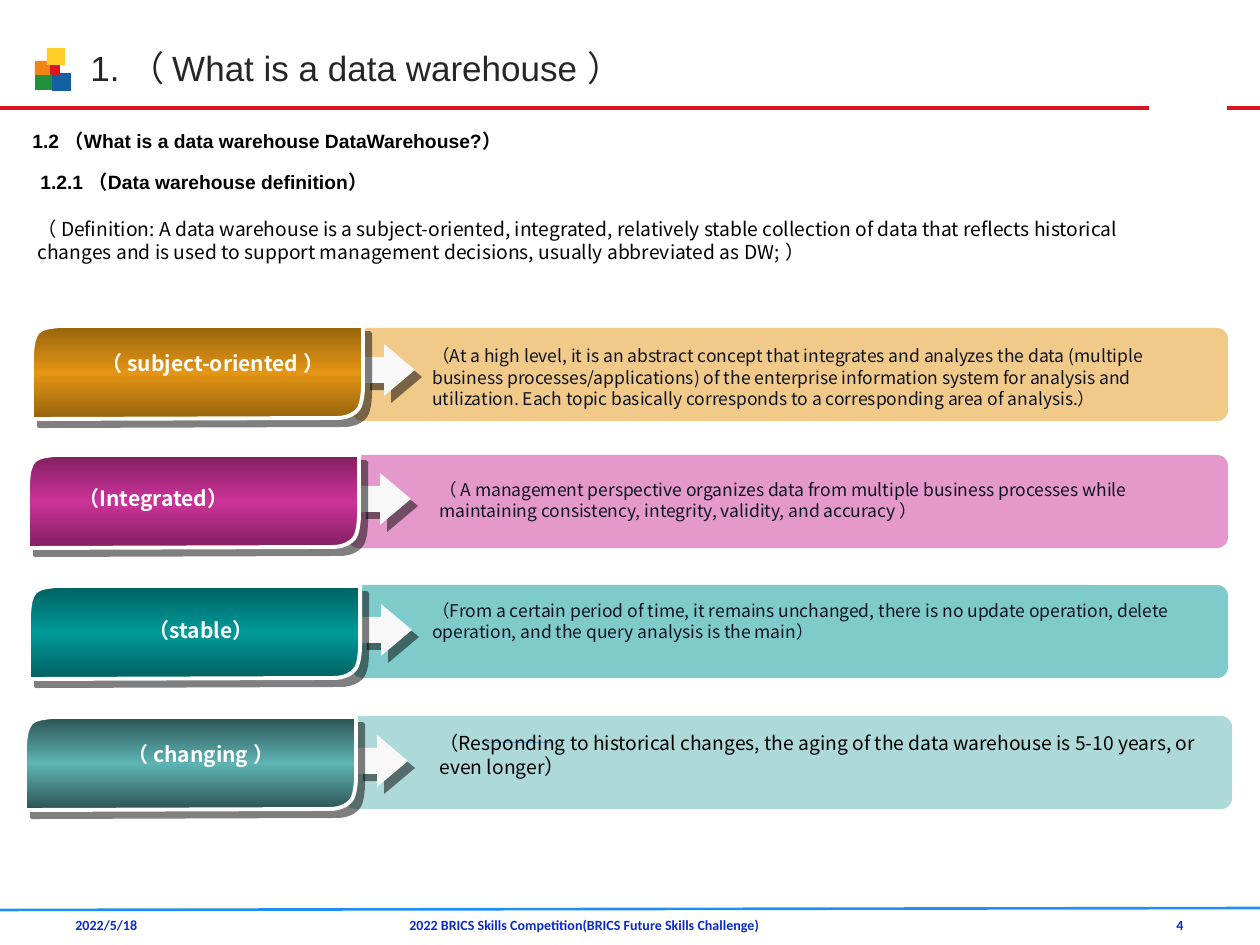
from lxml import etree
from copy import deepcopy
from pptx import Presentation
from pptx.dml.color import RGBColor
from pptx.enum.shapes import MSO_CONNECTOR, MSO_SHAPE
from pptx.enum.text import MSO_ANCHOR, PP_ALIGN
from pptx.oxml.ns import qn
from pptx.util import Emu, Pt

SCALE = 914400 / 126  # EMU in one px
NOTO = "Noto Sans CJK SC"
HEX = {
    "red": "D9151F", "blue": "1460A2", "green": "20903B", "orange": "F08316",
    "yellow": "FDCD27", "foot": "072AC9", "rule": "1E90F5", "thin": "6096E6",
    "title": "262626", "ink": "0F1423", "black": "000000", "white": "FFFFFF",
    "arrow": "F8F8F8",
}
LEFT, MID, RIGHT = PP_ALIGN.LEFT, PP_ALIGN.CENTER, PP_ALIGN.RIGHT

# Tab outline from its top left: one point is a line, three are a curve
TAB = [
    [(26, 0)], [(331, 0)], [(331, 60)],
    [(331, 60), (331, 75), (327, 82)], [(323, 88), (315, 92), (305, 92)],
    [(0, 93)], [(0, 28)],
    [(1, 15), (2, 12), (6, 6)], [(11, 1), (20, 1), (26, 0)],
]

# Per row: bar box, tab corner, tab colours, label, note
ROWS = [
    ((352, 328, 876), (32, 326), ("97630D", "E49514"),
     ("（ subject-oriented ）", 344, 294, MID),
     ("（At a high level, it is an abstract concept that integrates and analyzes "
      "the data (multiple business processes/applications) of the enterprise "
      "information system for analysis and utilization. Each topic basically "
      "corresponds to a corresponding area of analysis.）", 420, 339, 803, 10, "ink")),
    ((348, 455, 880), (28, 455), ("822061", "CC3399"),
     ("（Integrated）", 479, 270, LEFT),
     ("（ A management perspective organizes data from multiple business processes "
      "while maintaining consistency, integrity, validity, and accuracy ）",
      427, 473, 799, 10, "ink")),
    ((352, 585, 876), (29, 586), ("006161", "009999"),
     ("（stable）", 611, 270, MID),
     ("（From a certain period of time, it remains unchanged, there is no update "
      "operation, delete operation, and the query analysis is the main）",
      420, 594, 803, 10, "ink")),
    ((345, 716, 887), (25, 717), ("2C5353", "5EB4B4"),
     ("（ changing ）", 735, 270, MID),
     ("（Responding to historical changes, the aging of the data warehouse is "
      "5-10 years, or even longer", 427, 723, 788, 11, "black")),
]


def px(num):
    return Emu(round(num * SCALE))


def rgb(code):
    return RGBColor.from_string(HEX.get(code, code))


def add_line(slide, x1, y1, x2, y2, color, width):
    line = slide.shapes.add_connector(
        MSO_CONNECTOR.STRAIGHT, px(x1), px(y1), px(x2), px(y2))
    line.line.color.rgb = rgb(color)
    line.line.width = Pt(width)
    etree.SubElement(line._element.spPr, qn("a:effectLst"))


def add_box(slide, kind, x, y, w, h, color):
    box = slide.shapes.add_shape(kind, px(x), px(y), px(w), px(h))
    box.shadow.inherit = False
    box.fill.solid()
    box.fill.fore_color.rgb = rgb(color)
    box.line.fill.background()
    return box


def style(run, size, color, font=NOTO, bold=False):
    face = run.font
    face.name, face.size, face.bold = font, Pt(size), bold
    face.color.rgb = rgb(color)


def add_text(slide, text, x, y, w, h, size, color, font=NOTO, bold=False,
             align=LEFT, anchor=MSO_ANCHOR.TOP):
    frame = slide.shapes.add_textbox(px(x), px(y), px(w), px(h)).text_frame
    frame.word_wrap = True
    frame.vertical_anchor = anchor
    frame.text = text
    para = frame.paragraphs[0]
    para.alignment = align
    if font == NOTO:
        para.line_spacing = Pt(round(size * 1.21, 1))
    style(para.runs[0], size, color, font, bold)
    return para


def fade(shape, percent):
    color = shape._element.spPr.find(f"{qn('a:solidFill')}/{qn('a:srgbClr')}")
    etree.SubElement(color, qn("a:alpha"), val=str(percent * 1000))


def add_shade(shape):
    shape.shadow.inherit = False
    effect = shape._element.spPr.find(qn("a:effectLst"))
    shade = etree.SubElement(effect, qn("a:outerShdw"), blurRad="0",
                             dist=str(Pt(5.7)), dir="2700000", algn="ctr",
                             rotWithShape="0")
    color = etree.SubElement(shade, qn("a:srgbClr"), val=HEX["black"])
    etree.SubElement(color, qn("a:alpha"), val="50000")


def bend(tab):
    """Turn the line steps that stand for curves into cubic ones."""
    lines = list(tab._element.spPr.iter(qn("a:lnTo")))
    for line, step in zip(lines, TAB[1:]):
        if len(step) == 3:
            line.tag = qn("a:cubicBezTo")
            line.clear()
            for a, b in step:
                etree.SubElement(line, qn("a:pt"), x=str(a), y=str(b))


def add_tab(slide, x, y, edge, core):
    ends = [(x + step[-1][0], y + step[-1][1]) for step in TAB]
    pen = slide.shapes.build_freeform(*ends[0], scale=SCALE)
    pen.add_line_segments(ends[1:], close=True)
    tab = pen.convert_to_shape()
    bend(tab)
    # Dark edges with a bright middle
    tab.fill.gradient()
    tab.fill.gradient_angle = 90
    stops = tab._element.spPr.find(f"{qn('a:gradFill')}/{qn('a:gsLst')}")
    stops.insert(1, deepcopy(stops[0]))
    for stop, spot, color in zip(tab.fill.gradient_stops, (0, 0.5, 1), (edge, core, edge)):
        stop.position = spot
        stop.color.rgb = rgb(color)
    tab.line.color.rgb = rgb("white")
    tab.line.width = Pt(2.25)
    add_shade(tab)


def add_row(slide, bar, tab, tones, label, note):
    x, y, w = bar
    strip = add_box(slide, MSO_SHAPE.ROUNDED_RECTANGLE, x, y, w, 93, tones[1])
    strip.adjustments[0] = 0.115
    fade(strip, 50)
    left, top = tab
    arrow = add_box(slide, MSO_SHAPE.RIGHT_ARROW, left + 331, top + 18, 52, 52, "arrow")
    arrow.adjustments[1] = 0.594
    add_shade(arrow)
    add_tab(slide, left, top, *tones)
    text, y, w, align = label
    add_text(slide, text, 66, y, w, 38, 12, "white", bold=True, align=align)
    text, x, y, w, size, color = note
    return add_text(slide, text, x, y, w, 60, size, color)


def add_head(slide):
    add_line(slide, -3, 108, 1149, 108, "red", 2.25)
    add_line(slide, 1227, 108, 1276, 108, "red", 2.25)
    for x, y, w, h, color in [
            (52, 73, 19, 18, "blue"), (47, 64, 13, 12, "red"),
            (35, 74, 17, 16, "green"), (35, 61, 15, 14, "orange"),
            (47, 48, 18, 17, "yellow")]:
        add_box(slide, MSO_SHAPE.RECTANGLE, x, y, w, h, color)
    add_text(slide, "1. （ What is a data warehouse ）", 78, 35, 1074, 66, 20,
             "title", "Arial", anchor=MSO_ANCHOR.MIDDLE)


def add_foot(slide):
    add_line(slide, -8, 910, 1272, 908, "rule", 1.5)
    for text, x, w, align in [
            ("2022/5/18", 63, 176, LEFT),
            ("2022 BRICS Skills Competition(BRICS Future Skills Challenge)", 397, 493, LEFT),
            ("4", 918, 278, RIGHT)]:
        add_text(slide, text, x, 910, w, 44, 8, "foot", "Calibri", True, align)


def main():
    deck = Presentation()
    deck.slide_width, deck.slide_height = px(1260), px(945)
    slide = deck.slides.add_slide(deck.slide_layouts[6])
    add_head(slide)
    add_foot(slide)
    # Four traits
    add_line(slide, 486, 742, 551, 742, "thin", 0.5)
    notes = [add_row(slide, *row) for row in ROWS]
    # The last note ends in a larger bracket
    last = notes[-1]
    style(last.add_run(), 12, "black")
    last.runs[-1].text = "）"
    last.line_spacing = Pt(14.3)
    # Definition and section headings
    add_text(slide, "（ Definition: A data warehouse is a subject-oriented, integrated, "
             "relatively stable collection of data that reflects historical changes and "
             "is used to support management decisions, usually abbreviated as DW; ）",
             25, 211, 1172, 59, 11, "black")
    add_text(slide, "1.2 （What is a data warehouse DataWarehouse?）",
             20, 123, 1264, 37, 11, "black", "Arial", True)
    add_text(slide, "1.2.1 （Data warehouse definition）",
             28, 164, 559, 37, 11, "black", "Arial", True)
    deck.save("out.pptx")


if __name__ == "__main__":
    main()
